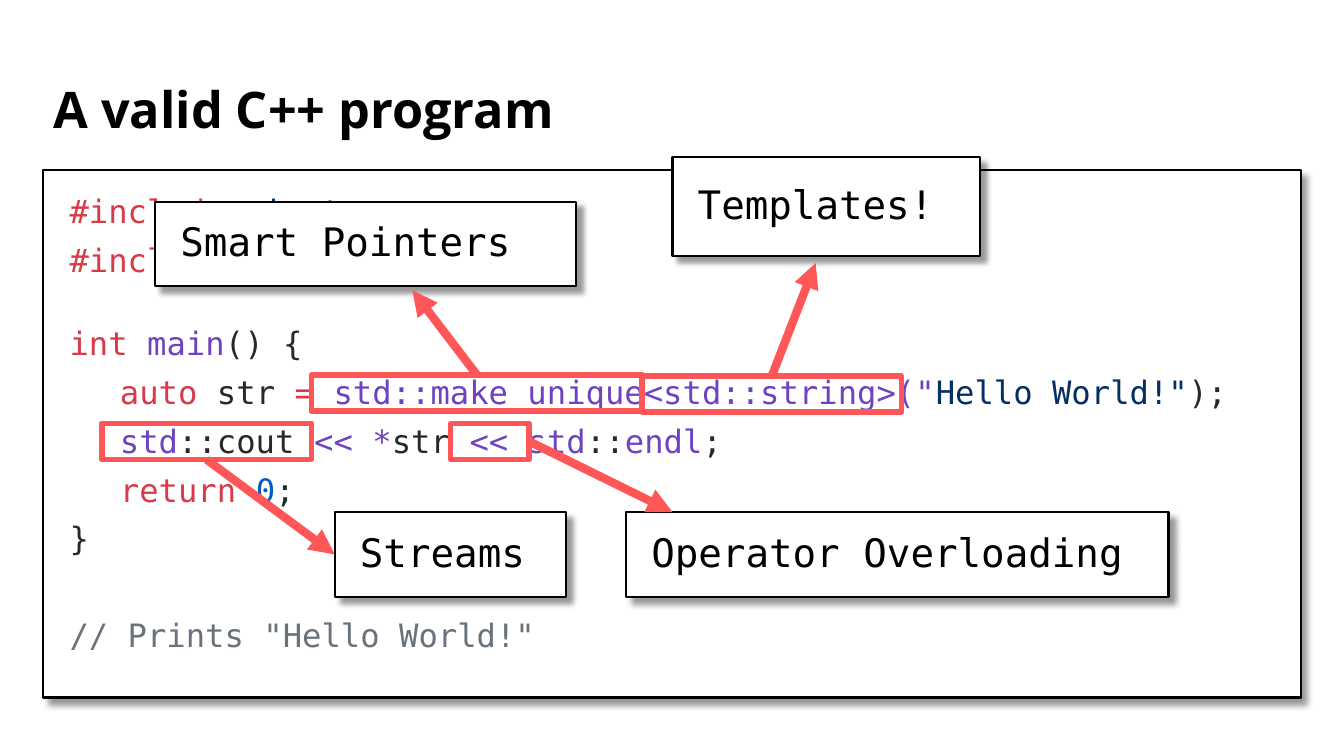
from dataclasses import dataclass

from lxml.etree import SubElement
from pptx import Presentation
from pptx.dml.color import RGBColor
from pptx.enum.shapes import MSO_CONNECTOR, MSO_SHAPE
from pptx.enum.text import MSO_ANCHOR, PP_ALIGN
from pptx.oxml.ns import qn
from pptx.util import Inches, Pt


@dataclass(frozen=True)
class Theme:
    title_font: str = "Open Sans"
    code_font: str = "DejaVu Sans Mono"
    title_size: int = 36
    label_size: int = 28
    code_size: int = 23
    black: str = "000000"
    white: str = "FFFFFF"
    accent: str = "FF5757"
    keyword: str = "D73A49"
    string: str = "032F62"
    plain: str = "24292E"
    name: str = "6F42C1"
    number: str = "005CC5"
    comment: str = "6A737D"


THEME = Theme()
TOP, LEFT, BOTTOM, RIGHT = range(4)

CODE_LINES = [
    (0, [("#include ", THEME.keyword), ("<iostream>", THEME.string)]),
    (10, [("#include ", THEME.keyword), ("<string>", THEME.string)]),
    (35, [("int ", THEME.keyword), ("main", THEME.name), ("() {", THEME.plain)]),
    (10, [("\tauto", THEME.keyword), (" str ", THEME.plain), ("= ", THEME.keyword),
          ('std::make_unique<std::string>("', THEME.name),
          ('Hello World!"', THEME.string), (");", THEME.plain)]),
    (10, [("\tstd", THEME.name), ("::cout ", THEME.plain), ("<< *", THEME.name),
          ("str ", THEME.plain), ("<< std", THEME.name), ("::", THEME.plain),
          ("endl", THEME.name), (";", THEME.plain)]),
    (10, [("\treturn ", THEME.keyword), ("0", THEME.number), (";", THEME.plain)]),
    (10, [("}", THEME.plain)]),
    (44, [('// Prints "Hello World!"', THEME.comment)]),
]

CALLOUTS = [
    ("Templates!", (6.37, 3.73, 2.57, 0.36), (6.67, 1.56, 3.05, 0.98),
     TOP, (8.09, 2.61), None),
    ("Smart Pointers", (3.09, 3.72, 3.28, 0.36), (1.54, 2, 4.17, 0.84),
     TOP, (4.09, 2.88), None),
    ("Streams", (1.01, 4.2, 2.08, 0.36), (3.32, 5.08, 2.29, 0.84),
     BOTTOM, (3.32, 5.5), LEFT),
    ("Operator Overloading", (4.47, 4.2, 0.78, 0.36), (6.21, 5.08, 5.38, 0.84),
     RIGHT, (6.67, 5.08), None),
]


def color(value):
    return RGBColor.from_string(value)


def style_font(font, name, size, value=None, bold=False):
    font.name = name
    font.size = Pt(size)
    font.bold = bold
    if value:
        font.color.rgb = color(value)


def add_rectangle(shapes, place, line_color, line_width):
    box = shapes.add_shape(MSO_SHAPE.RECTANGLE, *map(Inches, place))
    box.shadow.inherit = False
    box.fill.background()
    box.line.color.rgb = color(line_color)
    box.line.width = Pt(line_width)
    return box


def add_card(shapes, place, anchor):
    card = add_rectangle(shapes, place, THEME.black, 1.5)
    card.fill.solid()
    card.fill.fore_color.rgb = color(THEME.white)
    effects = card._element.spPr.find(qn("a:effectLst"))
    shadow = SubElement(effects, qn("a:outerShdw"), blurRad=str(Pt(4)),
                        dist=str(Pt(6)), dir="2700000", algn="tl", rotWithShape="0")
    tint = SubElement(shadow, qn("a:srgbClr"), val=THEME.black)
    SubElement(tint, qn("a:alpha"), val="40000")
    frame = card.text_frame
    frame.word_wrap = True
    frame.vertical_anchor = anchor
    frame.margin_left = frame.margin_right = Inches(0.25)
    frame.margin_top = frame.margin_bottom = Inches(0.25)
    return card


def format_paragraph(para, space_before=0):
    para.alignment = PP_ALIGN.LEFT
    para.line_spacing = 0.9
    para.space_before = Pt(space_before)


def set_title(page, text):
    title = page.shapes.title
    title.left, title.top = Inches(0.43), Inches(0.69)
    title.width, title.height = Inches(12.47), Inches(0.84)
    title.text_frame.text = text
    title.text_frame.vertical_anchor = MSO_ANCHOR.MIDDLE
    para = title.text_frame.paragraphs[0]
    format_paragraph(para)
    style_font(para.font, THEME.title_font, THEME.title_size, THEME.black, bold=True)


def add_code(page, place, lines):
    frame = add_card(page.shapes, place, MSO_ANCHOR.TOP).text_frame
    for index, (space_before, spans) in enumerate(lines):
        para = frame.add_paragraph() if index else frame.paragraphs[0]
        format_paragraph(para, space_before)
        properties = para._p.get_or_add_pPr()
        properties.set("marL", str(Inches(0.01)))
        properties.set("indent", "0")
        tabs = SubElement(properties, qn("a:tabLst"))
        SubElement(tabs, qn("a:tab"), pos=str(Inches(0.5)), algn="l")
        style_font(para.font, THEME.code_font, THEME.code_size)
        for text, value in spans:
            span = para.add_run()
            span.text = text
            span.font.color.rgb = color(value)


def add_label(shapes, place, text):
    label = add_card(shapes, place, MSO_ANCHOR.MIDDLE)
    label.text_frame.text = text
    para = label.text_frame.paragraphs[0]
    format_paragraph(para)
    style_font(para.font, THEME.code_font, THEME.label_size, THEME.black)
    return label


def add_arrow(shapes, source, source_side, end, target, target_side):
    end_x, end_y = map(Inches, end)
    arrow = shapes.add_connector(MSO_CONNECTOR.STRAIGHT, source.left, source.top,
                                 end_x, end_y)
    arrow.begin_connect(source, source_side)
    if target_side is not None:
        arrow.end_connect(target, target_side)
    arrow.line.color.rgb = color(THEME.accent)
    arrow.line.width = Pt(6)
    SubElement(arrow.line._get_or_add_ln(), qn("a:tailEnd"), type="triangle")
    SubElement(arrow._element.spPr, qn("a:effectLst"))


def add_callout(page, text, marked, label_place, side, end, label_side):
    shapes = page.shapes.add_group_shape().shapes
    marker = add_rectangle(shapes, marked, THEME.accent, 4)
    label = add_label(shapes, label_place, text)
    add_arrow(shapes, marker, side, end, label, label_side)


def main():
    deck = Presentation()
    deck.slide_width, deck.slide_height = Inches(13.33), Inches(7.5)
    page = deck.slides.add_slide(deck.slide_layouts[5])
    set_title(page, "A valid C++ program")
    add_code(page, (0.43, 1.69, 12.47, 5.23), CODE_LINES)
    for callout in CALLOUTS:
        add_callout(page, *callout)
    deck.save("out.pptx")


if __name__ == "__main__":
    main()
